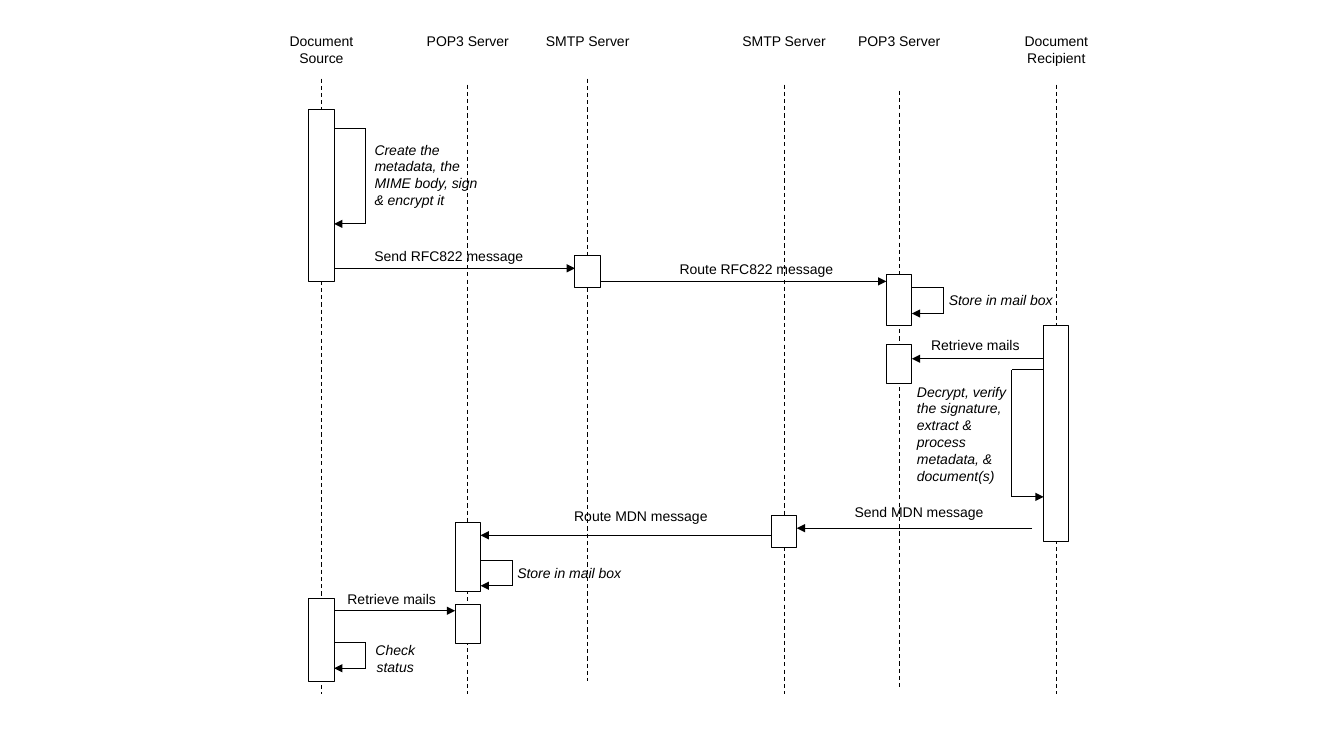
import pptx
import pptx.dml.color
import pptx.enum.dml
import pptx.enum.shapes
import pptx.enum.text
import pptx.oxml
import pptx.oxml.ns
import pptx.util

Cm = pptx.util.Cm
BLACK = pptx.dml.color.RGBColor(0x00, 0x00, 0x00)
WHITE = pptx.dml.color.RGBColor(0xFF, 0xFF, 0xFF)
LEFT = pptx.enum.text.PP_ALIGN.LEFT
CENTER = pptx.enum.text.PP_ALIGN.CENTER

HALF_BAR = 0.32
HEADER_TOP, HEADER_WIDTH, HEADER_HEIGHT = 0.69, 2.87, 1.93

LIFELINES = {
    "source": ("Document Source", 8.1, 1.98, 17.48),
    "sender pop3": ("POP3 Server", 11.79, 2.13, 17.48),
    "sender smtp": ("SMTP Server", 14.81, 1.98, 17.15),
    "receiver smtp": ("SMTP Server", 19.76, 2.13, 17.48),
    "receiver pop3": ("POP3 Server", 22.66, 2.29, 17.32),
    "recipient": ("Document Recipient", 26.62, 2.13, 17.48),
}
ACTIVATIONS = [
    ("source", 2.77, 4.32),
    ("source", 15.09, 2.08),
    ("sender smtp", 6.45, 0.79),
    ("receiver smtp", 13, 0.79),
    ("receiver pop3", 6.93, 1.27),
    ("receiver pop3", 8.69, 0.97),
    ("recipient", 8.2, 5.44),
    ("sender pop3", 13.16, 1.75),
    ("sender pop3", 15.24, 0.97),
]
MESSAGES = [
    ("source", "sender smtp", 6.76, 0),
    ("sender smtp", "receiver pop3", 7.09, 0),
    ("recipient", "receiver pop3", 9.04, 0),
    ("recipient", "receiver smtp", 13.31, 0.29),
    ("receiver smtp", "sender pop3", 13.49, 0),
    ("source", "sender pop3", 15.39, 0),
]
SELF_CALLS = [
    ("source", 3.25, 5.64, 1),
    ("receiver pop3", 7.24, 7.9, 1),
    ("recipient", 9.32, 12.52, -1),
    ("sender pop3", 14.12, 14.76, 1),
    ("source", 16.2, 16.84, 1),
]
MESSAGE_LABELS = [
    ("Send RFC822 message", 8.59, 6.12, 5.44, 1.45),
    ("Route RFC822 message", 16.1, 6.45, 5.92, 1.45),
    ("Retrieve mails", 22.66, 8.36, 3.84, 0.53),
    ("Send MDN message", 20.85, 12.57, 4.62, 0.58),
    ("Route MDN message", 13.84, 12.67, 4.62, 0.64),
    ("Retrieve mails", 7.95, 14.76, 3.84, 1.45),
]
NOTES = [
    ("Create the metadata, the MIME body, sign & encrypt it", 9.19, 3.43, 3.2, 2.24, LEFT),
    ("Store in mail box", 23.62, 7.21, 3.2, 0.71, CENTER),
    ("Decrypt, verify the signature,\nextract & process metadata, & document(s)",
     22.86, 9.53, 2.87, 3.05, LEFT),
    ("Store in mail box", 12.67, 14.1, 3.35, 0.71, CENTER),
    ("Check status", 8.92, 16.05, 2.08, 1.12, CENTER),
]


def write_text(frame, text, font="Arial", size=10, color=BLACK, italic=False, align=CENTER):
    frame.word_wrap = True
    for index, line in enumerate(text.split("\n")):
        para = frame.add_paragraph() if index else frame.paragraphs[0]
        para.alignment = align
        span = para.add_run()
        span.text = line
        span.font.name = font
        span.font.size = pptx.util.Pt(size)
        span.font.color.rgb = color
        span.font.italic = italic


class SequenceDiagram:
    def __init__(self, page, color=BLACK, fill=WHITE, weight=0.75):
        self.page = page
        self.color = color
        self.fill = fill
        self.weight = pptx.util.Pt(weight)

    def label(self, text, left, top, width, height, **style):
        box = self.page.shapes.add_textbox(Cm(left), Cm(top), Cm(width), Cm(height))
        write_text(box.text_frame, text, **style)

    def line(self, start, end, arrow=False, dashed=False):
        connector = self.page.shapes.add_connector(
            pptx.enum.shapes.MSO_CONNECTOR.STRAIGHT,
            Cm(start[0]), Cm(start[1]), Cm(end[0]), Cm(end[1]))
        connector.line.color.rgb = self.color
        connector.line.width = self.weight
        if dashed:
            connector.line.dash_style = pptx.enum.dml.MSO_LINE.DASH
        if arrow:
            tail = pptx.oxml.parse_xml(
                "<a:tailEnd %s type='triangle'/>" % pptx.oxml.ns.nsdecls("a"))
            connector.line._get_or_add_ln().append(tail)
        connector._element.spPr.append(
            pptx.oxml.parse_xml("<a:effectLst %s/>" % pptx.oxml.ns.nsdecls("a")))

    def lifeline(self, title, center, top, bottom):
        self.line((center, top), (center, bottom), dashed=True)
        self.label(title, center - HEADER_WIDTH / 2, HEADER_TOP, HEADER_WIDTH, HEADER_HEIGHT)

    def activation(self, center, top, height):
        bar = self.page.shapes.add_shape(
            pptx.enum.shapes.MSO_SHAPE.RECTANGLE,
            Cm(center - HALF_BAR), Cm(top), Cm(2 * HALF_BAR), Cm(height))
        bar.shadow.inherit = False
        bar.fill.solid()
        bar.fill.fore_color.rgb = self.fill
        bar.line.color.rgb = self.color
        bar.line.width = self.weight

    def message(self, sender, receiver, height, gap):
        side = 1 if receiver > sender else -1
        self.line((sender + side * (HALF_BAR + gap), height),
                  (receiver - side * HALF_BAR, height), arrow=True)

    def self_call(self, center, top, bottom, side, reach=0.8):
        edge = center + side * HALF_BAR
        turn = edge + side * reach
        self.line((edge, top), (turn, top))
        self.line((turn, top), (turn, bottom))
        self.line((turn, bottom), (edge, bottom), arrow=True)


def main():
    deck = pptx.Presentation()
    deck.slide_width, deck.slide_height = Cm(33.87), Cm(19.05)
    diagram = SequenceDiagram(deck.slides.add_slide(deck.slide_layouts[6]))
    centers = {name: lifeline[1] for name, lifeline in LIFELINES.items()}

    for lifeline in LIFELINES.values():
        diagram.lifeline(*lifeline)
    for name, top, height in ACTIVATIONS:
        diagram.activation(centers[name], top, height)
    for sender, receiver, height, gap in MESSAGES:
        diagram.message(centers[sender], centers[receiver], height, gap)
    for name, top, bottom, side in SELF_CALLS:
        diagram.self_call(centers[name], top, bottom, side)
    for message_label in MESSAGE_LABELS:
        diagram.label(*message_label)
    for *note, align in NOTES:
        diagram.label(*note, italic=True, align=align)

    deck.save("out.pptx")


if __name__ == "__main__":
    main()
